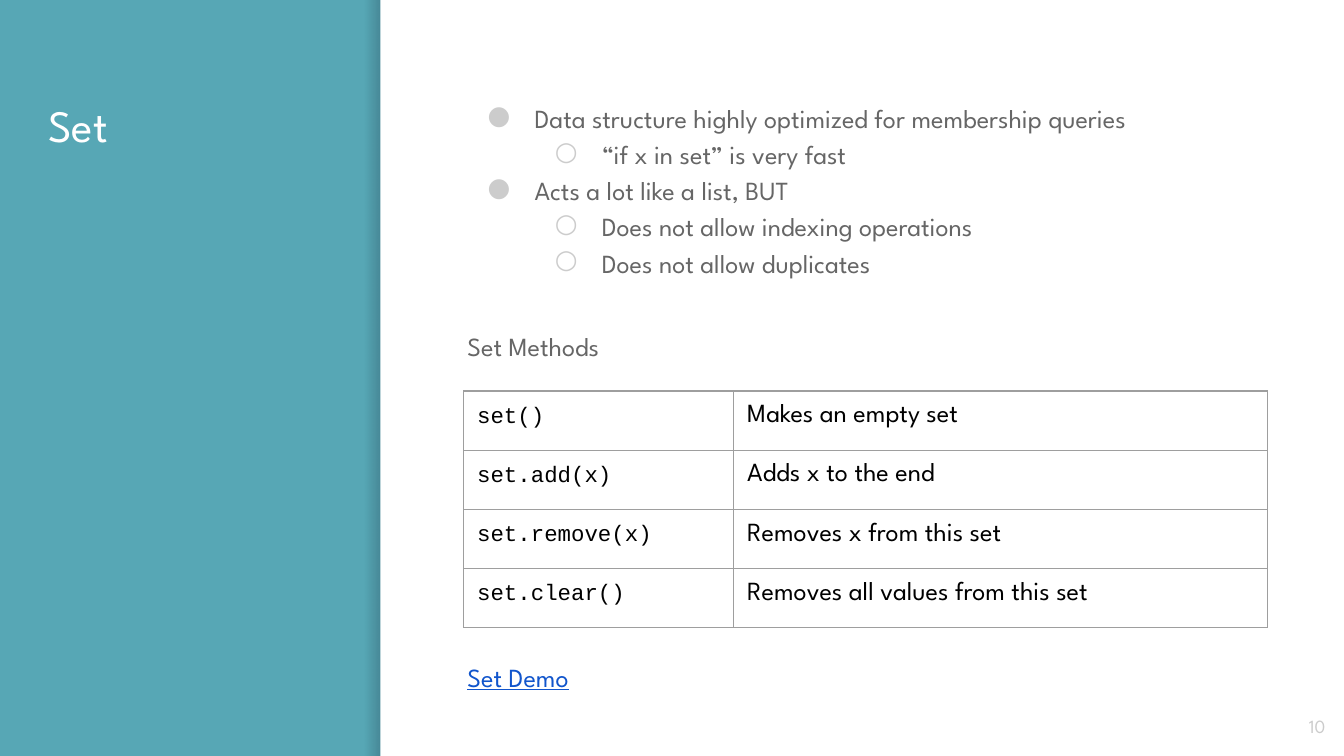
from pptx import Presentation
from pptx.dml.color import RGBColor
from pptx.enum.shapes import MSO_SHAPE
from pptx.enum.text import MSO_ANCHOR, MSO_AUTO_SIZE, PP_ALIGN
from pptx.oxml.ns import qn
from pptx.util import Inches, Pt
from lxml.etree import SubElement

RECTANGLE = MSO_SHAPE.RECTANGLE
TOP, MIDDLE = MSO_ANCHOR.TOP, MSO_ANCHOR.MIDDLE
LEFT, RIGHT = PP_ALIGN.LEFT, PP_ALIGN.RIGHT
NO_AUTOFIT = MSO_AUTO_SIZE.NONE

SANS, MONO = "League Spartan", "Courier New"
TEAL, WHITE, BLACK, SHADE = "57A7B5", "FFFFFF", "000000", "000014"
GREY, PALE, BORDER, LINK = "666666", "CCCCCC", "9E9E9E", "1155CC"

TITLE = "Set"
PAGE = "10"
POINTS = [
    (0, "Data structure highly optimized for membership queries"),
    (1, "“if x in set” is very fast"),
    (0, "Acts a lot like a list, BUT"),
    (1, "Does not allow indexing operations"),
    (1, "Does not allow duplicates"),
]
METHODS_HEADING = "Set Methods"
DEMO = "Set Demo"
METHODS = [
    ("set()", "Makes an empty set"),
    ("set.add(x)", "Adds x to the end"),
    ("set.remove(x)", "Removes x from this set"),
    ("set.clear()", "Removes all values from this set"),
]
BULLETS = "●○"
BODY_SIZE = 14
COLUMN_STYLES = [(2.01, MONO, 12), (3.97, SANS, BODY_SIZE)]
ROW_HEIGHT = 0.44
WIDTH = 10
HEIGHT = WIDTH * 9 / 16
SIDEBAR, SHADOW = 2.83, 0.12


def rgb(color):
    return RGBColor.from_string(color)


def place(shape, left, top, width, height):
    shape.left, shape.top = Inches(left), Inches(top)
    shape.width, shape.height = Inches(width), Inches(height)


def set_font(paragraph, name, size, color):
    paragraph.font.name = name
    paragraph.font.size = Pt(size)
    paragraph.font.color.rgb = rgb(color)


def set_frame(frame, anchor):
    frame.word_wrap = True
    frame.auto_size = NO_AUTOFIT
    frame.vertical_anchor = anchor
    frame.margin_left = frame.margin_right = Inches(0.1)
    frame.margin_top = frame.margin_bottom = Inches(0.1)


def add_text_box(slide, box, anchor):
    frame = slide.shapes.add_textbox(*map(Inches, box)).text_frame
    set_frame(frame, anchor)
    return frame


def add_panel(slide, left, width):
    panel = slide.shapes.add_shape(
        RECTANGLE, Inches(left), 0, Inches(width), Inches(HEIGHT))
    panel.shadow.inherit = False
    panel.line.fill.background()
    return panel


def add_bullet(paragraph, level):
    properties = paragraph._p.get_or_add_pPr()
    properties.set("marL", str(Inches(0.5 * (level + 1))))
    properties.set("indent", str(Inches(-0.35)))
    bullet_color = SubElement(properties, qn("a:buClr"))
    SubElement(bullet_color, qn("a:srgbClr"), val=PALE)
    SubElement(properties, qn("a:buSzPts"), val=str(BODY_SIZE * 100))
    SubElement(properties, qn("a:buFont"), typeface=SANS)
    SubElement(properties, qn("a:buChar"), char=BULLETS[level])


def add_borders(cell):
    properties = cell._tc.get_or_add_tcPr()
    for side in ("a:lnL", "a:lnR", "a:lnT", "a:lnB"):
        line = SubElement(properties, qn(side), w=str(Pt(0.75)))
        SubElement(SubElement(line, qn("a:solidFill")), qn("a:srgbClr"), val=BORDER)


def add_sidebar_edge(slide):
    shadow = add_panel(slide, SIDEBAR - SHADOW, SHADOW)
    shadow.fill.gradient()
    shadow.fill.gradient_angle = 0
    for stop in shadow.fill.gradient_stops:
        stop.color.rgb = rgb(SHADE)
    stop_colors = shadow.element.spPr.iter(qn("a:srgbClr"))
    for stop_color, opacity in zip(stop_colors, (0, 20)):
        SubElement(stop_color, qn("a:alpha"), val=str(opacity * 1000))
    page = add_panel(slide, SIDEBAR, WIDTH - SIDEBAR)
    page.fill.solid()
    page.fill.fore_color.rgb = rgb(WHITE)


def add_title(slide):
    title = slide.shapes.title
    place(title, 0.26, 0.63, 2.24, 4.35)
    set_frame(title.text_frame, TOP)
    title.text_frame.text = TITLE
    heading = title.text_frame.paragraphs[0]
    heading.alignment = LEFT
    set_font(heading, SANS, 24, WHITE)


def add_body(slide):
    frame = add_text_box(slide, (3.38, 0.63, 6.12, 4.35), TOP)
    lines = [(level, text, 0, GREY) for level, text in POINTS]
    lines += [(None, METHODS_HEADING, 25.5, GREY), (None, DEMO, 158, LINK)]
    for index, (level, text, space, color) in enumerate(lines):
        paragraph = frame.add_paragraph() if index else frame.paragraphs[0]
        paragraph.text = text
        paragraph.line_spacing = 1.15
        paragraph.space_before = Pt(space)
        if level is not None:
            paragraph.level = level
            add_bullet(paragraph, level)
        set_font(paragraph, SANS, BODY_SIZE, color)
        if color == LINK:
            paragraph.font.underline = True


def add_methods(slide):
    width = sum(style[0] for style in COLUMN_STYLES)
    table = slide.shapes.add_table(
        len(METHODS), len(COLUMN_STYLES), Inches(3.45), Inches(2.91),
        Inches(width), Inches(ROW_HEIGHT * len(METHODS))).table
    table.first_row = table.horz_banding = False
    for column, (column_width, font, size) in enumerate(COLUMN_STYLES):
        table.columns[column].width = Inches(column_width)
        for row, method in enumerate(METHODS):
            cell = table.cell(row, column)
            cell.text = method[column]
            cell.margin_left = cell.margin_right = Inches(0.1)
            cell.margin_top = cell.margin_bottom = Inches(0.1)
            add_borders(cell)
            cell.fill.background()
            set_font(cell.text_frame.paragraphs[0], font, size, BLACK)


def add_page_number(slide):
    number = add_text_box(slide, (9.36, 5.19, 0.6, 0.43), MIDDLE).paragraphs[0]
    number.text = PAGE
    number.alignment = RIGHT
    set_font(number, SANS, 10, PALE)


def main():
    deck = Presentation()
    deck.slide_width, deck.slide_height = Inches(WIDTH), Inches(HEIGHT)
    slide = deck.slides.add_slide(deck.slide_layouts.get_by_name("Title Only"))
    slide.background.fill.solid()
    slide.background.fill.fore_color.rgb = rgb(TEAL)
    add_sidebar_edge(slide)
    add_title(slide)
    add_body(slide)
    add_page_number(slide)
    add_methods(slide)
    deck.save("out.pptx")


if __name__ == "__main__":
    main()
